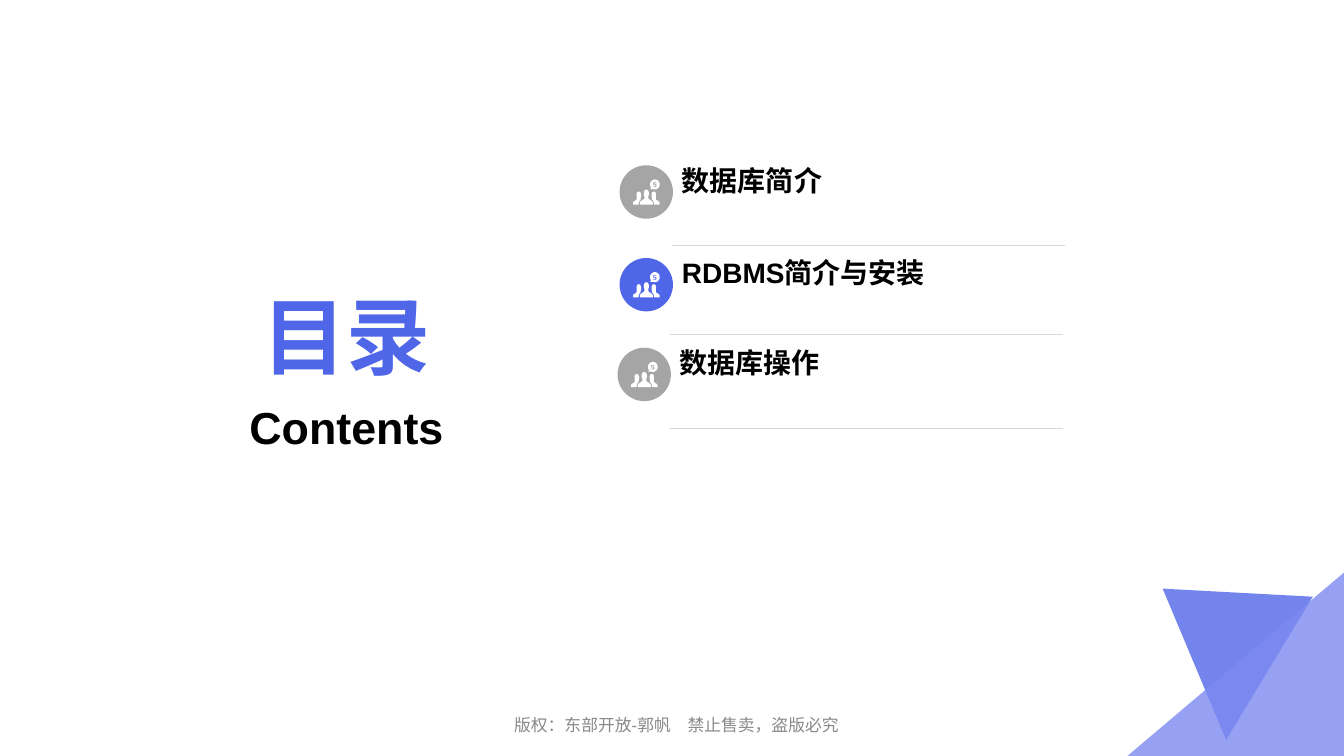
import math

import pptx
import pptx.dml.color
import pptx.enum.shapes
import pptx.enum.text
import pptx.oxml
import pptx.oxml.ns
import pptx.util

Inches = pptx.util.Inches
Align = pptx.enum.text.PP_ALIGN
Anchor = pptx.enum.text.MSO_ANCHOR

COLORS = {
    "blue": "5066E9",
    "violet": "7E8AF1",
    "gray": "A5A5A5",
    "rule": "D8D8D8",
    "footer": "898989",
    "black": "000000",
    "white": "FFFFFF",
}

CIRCLE = 0.53
HALF_PERSON = [(0, -2.5), (1.5, -2), (2.5, 0), (2.5, 3), (2, 4), (2, 6.5),
               (6, 9.5), (6.5, 10.5), (6.5, 12.5)]
SIDE_PERSON = [(7.5, -0.5), (9, 0), (9.7, 2), (9.5, 5), (9.5, 7.5),
               (12.5, 9.5), (13.2, 10.5), (13.2, 12.5), (7.5, 12.5),
               (7.5, 10.5), (7, 9), (5.6, 7.5), (5.6, 6), (5.2, 5),
               (5.2, 2), (6, 0)]
COIN_SIGN = [(10, -9.5), (10, -8.7), (7.8, -8.7), (7.8, -7.8), (10, -7.8),
             (10, -5), (6.8, -5), (6.8, -5.8), (9, -5.8), (9, -7),
             (6.8, -7), (6.8, -9.5)]


def mirror(points):
    return [(-x, y) for x, y in points]


def bubble():
    angles = [math.radians(140 + 15 * step) for step in range(23)]
    ring = [(8.5 + 4.8 * math.cos(a), -7.5 + 5 * math.sin(a)) for a in angles]
    return ring + [(6.5, -3), (3.6, -2.7)]


ICON = [
    HALF_PERSON + mirror(HALF_PERSON)[::-1],
    SIDE_PERSON,
    mirror(SIDE_PERSON),
    bubble(),
    COIN_SIGN,
]


class ContentsPage:
    font = "Arial"

    def __init__(self, deck):
        self.page = deck.slides.add_slide(deck.slide_layouts[5])
        self.shapes = self.page.shapes

    def color(self, name):
        return pptx.dml.color.RGBColor.from_string(COLORS[name])

    def paint(self, shape, name, alpha=None):
        shape.shadow.inherit = False
        shape.fill.solid()
        shape.fill.fore_color.rgb = self.color(name)
        shape.line.fill.background()
        if alpha:
            tint = shape._element.spPr.find(".//" + pptx.oxml.ns.qn("a:srgbClr"))
            tint.append(pptx.oxml.parse_xml(
                f'<a:alpha {pptx.oxml.ns.nsdecls("a")} val="{alpha * 1000}"/>'))

    def style_text(self, box, text, size, color, bold=True, align=Align.CENTER,
                   anchor=Anchor.MIDDLE, bottom=0.05, spacing=1.0):
        frame = box.text_frame
        frame.text = text
        frame.word_wrap = True
        frame.auto_size = pptx.enum.text.MSO_AUTO_SIZE.NONE
        frame.vertical_anchor = anchor
        frame.margin_left = frame.margin_right = Inches(0.1)
        frame.margin_top = Inches(0.05)
        frame.margin_bottom = Inches(bottom)
        para = frame.paragraphs[0]
        para.alignment = align
        para.line_spacing = spacing
        for span in para.runs:
            span.font.name = self.font
            span.font.size = pptx.util.Pt(size)
            span.font.bold = bold
            span.font.color.rgb = self.color(color)

    def title(self, left, top, width, height, text, size, color, **style):
        box = self.shapes.title
        box.left, box.top = Inches(left), Inches(top)
        box.width, box.height = Inches(width), Inches(height)
        self.style_text(box, text, size, color, **style)

    def text(self, left, top, width, height, text, size, color, **style):
        box = self.shapes.add_textbox(
            Inches(left), Inches(top), Inches(width), Inches(height))
        self.style_text(box, text, size, color, **style)

    def outline(self, contours, color, alpha=None):
        outlines = [[(Inches(x), Inches(y)) for x, y in contour]
                    for contour in contours]
        builder = self.shapes.build_freeform(*outlines[0][0], scale=1.0)
        builder.add_line_segments(outlines[0][1:], close=True)
        for points in outlines[1:]:
            builder.move_to(*points[0])
            builder.add_line_segments(points[1:], close=True)
        self.paint(builder.convert_to_shape(), color, alpha)

    def circle(self, left, top, color):
        shape = self.shapes.add_shape(
            pptx.enum.shapes.MSO_SHAPE.OVAL,
            Inches(left), Inches(top), Inches(CIRCLE), Inches(CIRCLE))
        self.paint(shape, color)

    def rule(self, left, top, width):
        line = self.shapes.add_connector(
            pptx.enum.shapes.MSO_CONNECTOR.STRAIGHT,
            Inches(left), Inches(top), Inches(left + width), Inches(top))
        line.line.color.rgb = self.color("rule")
        line.line.width = pptx.util.Pt(0.25)
        line._element.spPr.append(pptx.oxml.parse_xml(
            f'<a:effectLst {pptx.oxml.ns.nsdecls("a")}/>'))

    def entry(self, left, top, rule_left, rule_top, color, text):
        self.circle(left, top, color)
        middle_x, middle_y = left + CIRCLE / 2, top + CIRCLE / 2
        self.outline([[(middle_x + x / 100, middle_y + y / 100)
                       for x, y in contour] for contour in ICON], "white")
        self.text(left + 0.52, top - 0.09, 3.91, 0.42, text, 20, "black",
                  align=Align.LEFT, bottom=0)
        self.rule(rule_left, rule_top, 3.9)


def main():
    deck = pptx.Presentation()
    deck.slide_width, deck.slide_height = Inches(13.34), Inches(7.5)
    contents = ContentsPage(deck)

    contents.text(4.55, 7, 4.33, 0.35, "版权：东部开放-郭帆　禁止售卖，盗版必究",
                  12, "footer", bold=False, spacing=1.2)
    contents.outline([[(13.03, 5.92), (12.17, 7.34), (11.54, 5.84)]], "blue", 80)
    contents.outline([[(13.34, 7.5), (11.19, 7.5), (13.34, 5.68)]], "violet", 80)

    contents.title(2.09, 2.62, 2.7, 1.25, "目录", 60, "blue",
                   anchor=Anchor.BOTTOM)
    contents.text(2.09, 3.92, 2.7, 0.55, "Contents", 32, "black",
                  anchor=Anchor.TOP)

    entries = [
        (6.15, 1.64, 6.67, 2.43, "gray", "数据库简介"),
        (6.15, 2.56, 6.65, 3.32, "blue", "RDBMS简介与安装"),
        (6.13, 3.45, 6.65, 4.25, "gray", "数据库操作"),
    ]
    for entry in entries:
        contents.entry(*entry)

    deck.save("out.pptx")


if __name__ == "__main__":
    main()
